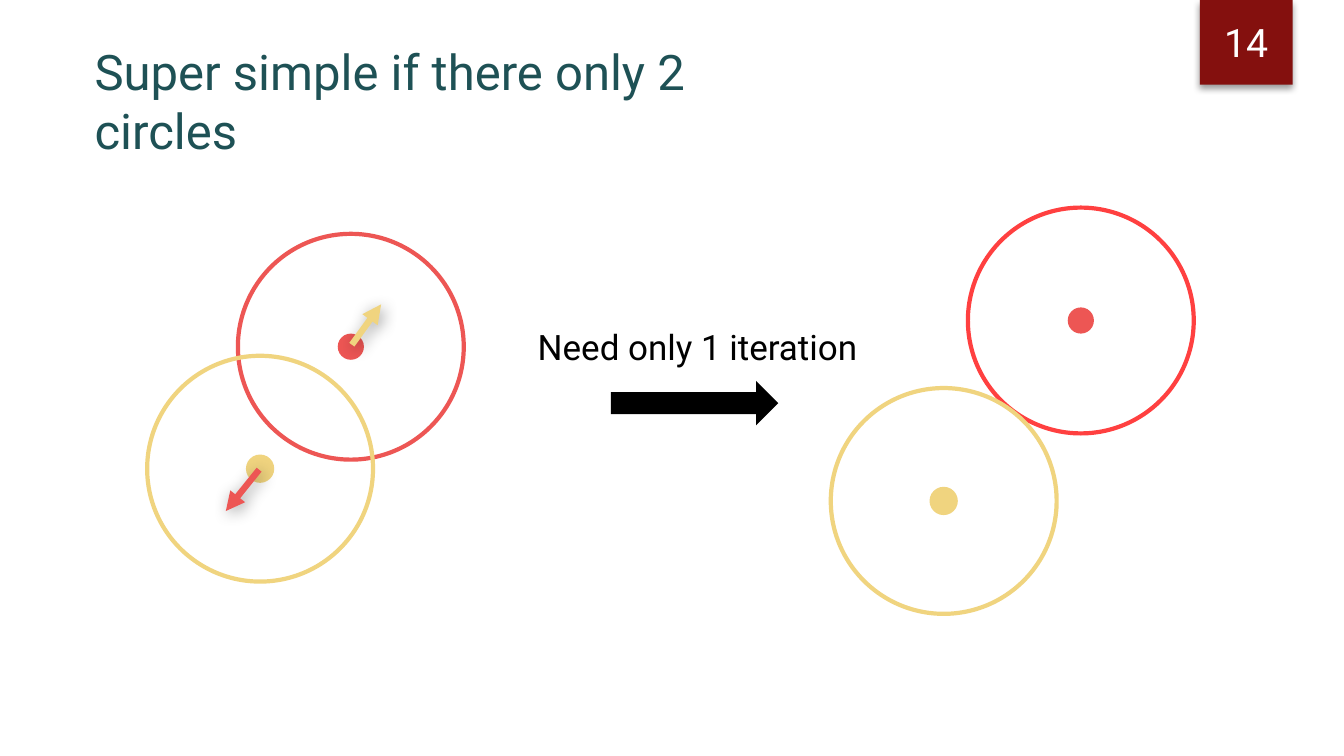
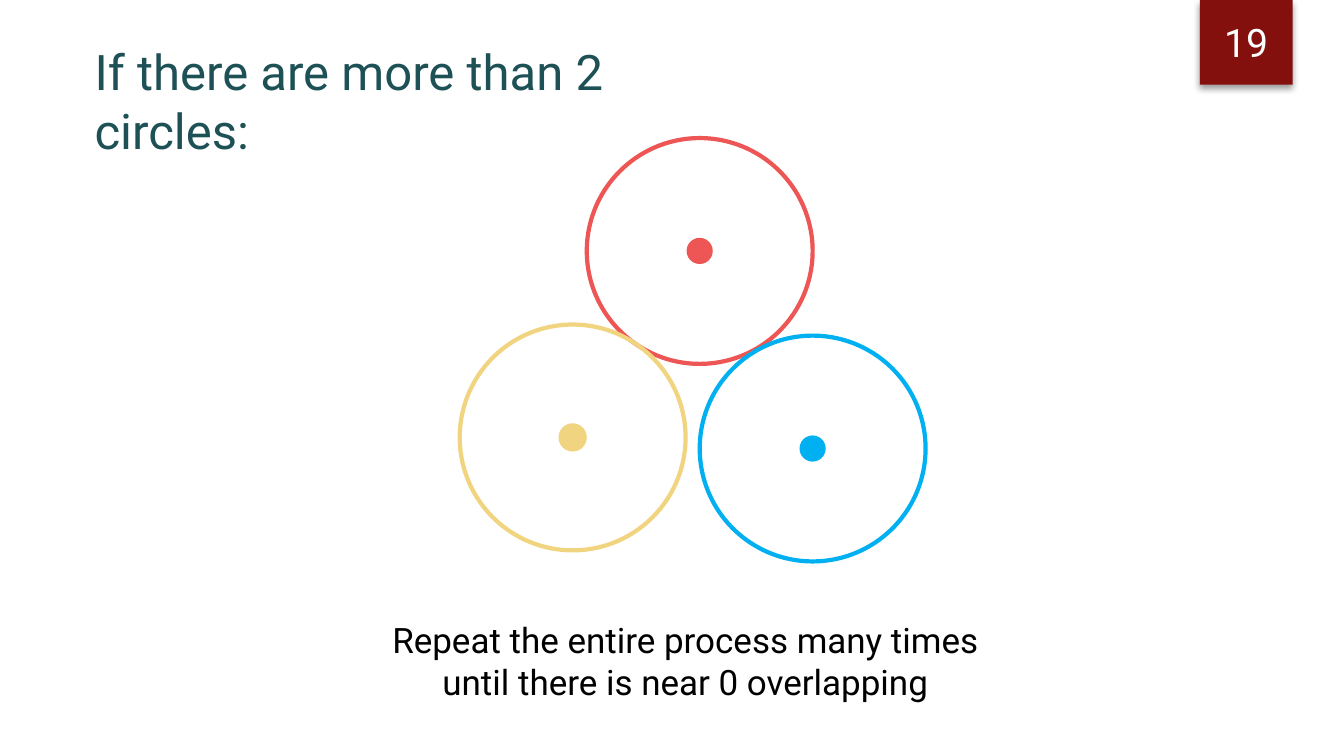
from lxml.etree import SubElement
from pptx import Presentation
from pptx.dml.color import RGBColor
from pptx.enum.shapes import MSO_CONNECTOR as Connector, MSO_SHAPE as Shape
from pptx.enum.text import MSO_ANCHOR as Anchor, PP_ALIGN as Align
from pptx.oxml.ns import qn
from pptx.util import Inches, Pt

FONT = "Roboto"
WHITE = RGBColor(0xFF, 0xFF, 0xFF)
BLACK = RGBColor(0, 0, 0)
MAROON = RGBColor(0x84, 0x10, 0x0E)
TEAL = RGBColor(0x1E, 0x51, 0x55)
RED = RGBColor(0xED, 0x56, 0x54)
BRIGHT_RED = RGBColor(0xFF, 0x40, 0x40)
YELLOW = RGBColor(0xF0, 0xD4, 0x7F)
BLUE = RGBColor(0x00, 0xB0, 0xF0)
RING_SIZE = 2.24
DOT_SIZE = 0.26


class CircleDeck:
    """Builds slides about overlapping circles in one shared style."""

    def __init__(self):
        self.deck = Presentation()
        self.deck.slide_width = Inches(13.33)
        self.deck.slide_height = Inches(7.5)
        self.slide = None

    def page(self, number, title):
        self.slide = self.deck.slides.add_slide(self.deck.slide_layouts[6])
        badge = self.shape(self.slide.shapes, Shape.RECTANGLE, 11.9, 0, 0.92, 0.84, fill=MAROON)
        self.shadow(badge, blur=5, angle=90)
        badge.text_frame.vertical_anchor = Anchor.MIDDLE
        self.set_lines(badge.text_frame, [str(number)], 28, WHITE, Align.CENTER)
        self.text([title], 0.84, 0.36, 6.5, 1.26, 35, TEAL, Align.LEFT)

    def set_lines(self, frame, lines, size, color, align):
        frame.text = "\n".join(lines)
        for para in frame.paragraphs:
            para.alignment = align
            for span in para.runs:
                span.font.name = FONT
                span.font.size = Pt(size)
                span.font.color.rgb = color

    def text(self, lines, left, top, width, height, size=25, color=BLACK, align=Align.CENTER):
        box = self.slide.shapes.add_textbox(Inches(left), Inches(top), Inches(width), Inches(height))
        box.text_frame.word_wrap = True
        self.set_lines(box.text_frame, lines, size, color, align)

    def shape(self, shapes, kind, left, top, width, height, fill=None, line=None, weight=0):
        shape = shapes.add_shape(kind, Inches(left), Inches(top), Inches(width), Inches(height))
        shape.shadow.inherit = False
        if fill is None:
            shape.fill.background()
        else:
            shape.fill.solid()
            shape.fill.fore_color.rgb = fill
        if line is None:
            shape.line.fill.background()
        else:
            shape.line.color.rgb = line
            shape.line.width = Pt(weight)
        return shape

    def circle(self, x, y, color, ring_color=None):
        group = self.slide.shapes.add_group_shape().shapes
        edge = color if color == YELLOW else None
        for size, fill, line, weight in (
            (RING_SIZE, None, ring_color or color, 3),
            (DOT_SIZE, color, edge, 1.5),
        ):
            self.shape(group, Shape.OVAL, x - size / 2, y - size / 2, size, size, fill, line, weight)

    def block_arrow(self, left, top, width, height):
        self.shape(self.slide.shapes, Shape.RIGHT_ARROW, left, top, width, height, fill=BLACK)

    def push_arrow(self, start, end, color):
        arrow = self.slide.shapes.add_connector(
            Connector.STRAIGHT, *(Inches(value) for value in (*start, *end)))
        arrow.line.color.rgb = color
        arrow.line.width = Pt(4.5)
        SubElement(arrow._element.spPr.find(qn("a:ln")), qn("a:tailEnd"), type="triangle")
        self.shadow(arrow, blur=12, angle=45)

    def shadow(self, item, blur, angle):
        properties = item._element.spPr
        effects = properties.find(qn("a:effectLst"))
        if effects is None:
            effects = SubElement(properties, qn("a:effectLst"))
        outer = SubElement(effects, qn("a:outerShdw"), blurRad=str(Pt(blur)), dist=str(Pt(3)),
                           dir=str(angle * 60000), algn="ctr", rotWithShape="0")
        shade = SubElement(outer, qn("a:srgbClr"), val=str(BLACK))
        SubElement(shade, qn("a:alpha"), val="40000")


def main():
    show = CircleDeck()

    show.page(14, "Super simple if there only 2 circles")
    show.circle(3.48, 3.44, RED)
    show.circle(2.58, 4.65, YELLOW)
    show.circle(10.72, 3.18, RED, BRIGHT_RED)
    show.circle(9.36, 4.97, YELLOW)
    show.block_arrow(6.06, 3.78, 1.66, 0.44)
    show.text(["Need only 1 iteration"], 5.13, 3.18, 3.47, 0.52, align=Align.RIGHT)
    show.push_arrow((3.49, 3.42), (3.78, 3.02), YELLOW)
    show.push_arrow((2.57, 4.66), (2.24, 5.07), RED)

    show.page(19, "If there are more than 2 circles:")
    show.text(["Repeat the entire process many times", "until there is near 0 overlapping"],
              1.62, 6.09, 10.35, 0.94)
    show.circle(6.94, 2.49, RED)
    show.circle(5.68, 4.34, YELLOW)
    show.circle(8.06, 4.45, BLUE)

    show.deck.save("out.pptx")


if __name__ == "__main__":
    main()
